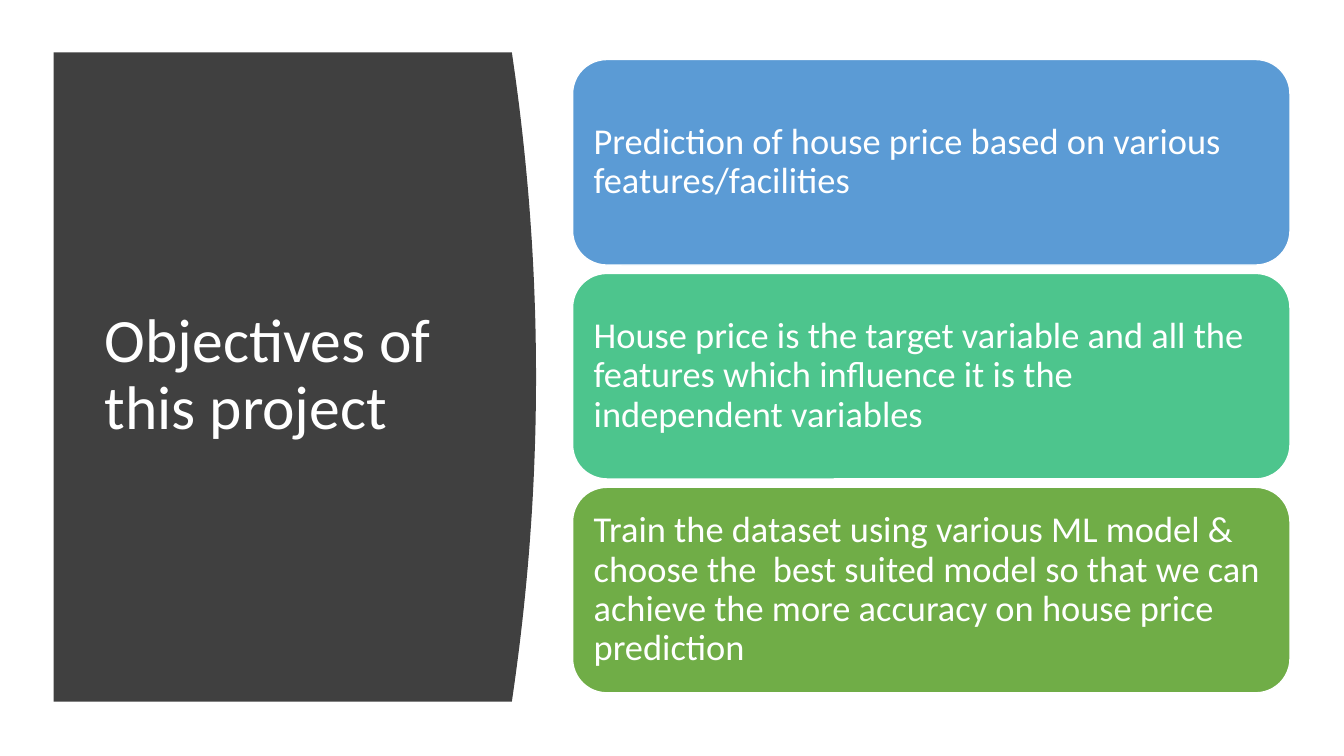
"""Build the slide that states the objectives of the house price project."""
from dataclasses import dataclass

from pptx import Presentation
from pptx.dml.color import RGBColor
from pptx.enum import shapes, text
from pptx.util import Cm, Pt

WHITE = RGBColor(0xFF, 0xFF, 0xFF)
CHARCOAL = RGBColor(0x40, 0x40, 0x40)
BLUE = RGBColor(0x5B, 0x9B, 0xD5)
TEAL = RGBColor(0x4D, 0xC5, 0x8D)
GREEN = RGBColor(0x70, 0xAD, 0x47)

PANEL_LEFT, PANEL_TOP, PANEL_EDGE, PANEL_HEIGHT = 1.35, 1.32, 12.9, 16.36
PANEL_BULGE, CURVE_STEPS = 0.61, 48
CARD_LEFT, CARD_TOP, CARD_WIDTH, CARD_HEIGHT, CARD_PITCH = 14.43, 1.5, 18.08, 5.18, 5.39


@dataclass(frozen=True)
class Objective:
    """One objective and the colour of its card."""
    wording: str
    colour: RGBColor


OBJECTIVES = [
    Objective("Prediction of house price based on various features/facilities", BLUE),
    Objective("House price is the target variable and all the features which influence it "
              "is the independent variables", TEAL),
    Objective("Train the dataset using various ML model & choose the  best suited model so "
              "that we can achieve the more accuracy on house price prediction", GREEN),
]


def write(holder, wording: str, size: float, inset: float) -> None:
    """Write left-aligned white text, centred vertically in its holder."""
    frame = holder.text_frame
    paragraph = frame.paragraphs[0]
    paragraph.text = wording
    paragraph.font.color.rgb = WHITE
    margins = {f"margin_{side}": Cm(inset) for side in ("left", "top", "right", "bottom")}
    formats = [
        (frame, {"word_wrap": True, "vertical_anchor": text.MSO_ANCHOR.MIDDLE, **margins}),
        (paragraph, {"alignment": text.PP_ALIGN.LEFT, "line_spacing": 0.9}),
        (paragraph.font, {"name": "Calibri", "size": Pt(size)}),
    ]
    for target, values in formats:
        for attribute, value in values.items():
            setattr(target, attribute, value)


def draw_panel(slide) -> None:
    """Draw the dark panel whose right edge bulges as a parabola."""
    edge = []
    for step in range(CURVE_STEPS + 1):
        share = step / CURVE_STEPS
        bulge = PANEL_BULGE * (1 - (2 * share - 1) ** 2)
        edge.append((Cm(PANEL_EDGE + bulge), Cm(PANEL_TOP + PANEL_HEIGHT * share)))
    outline = slide.shapes.build_freeform(Cm(PANEL_LEFT), Cm(PANEL_TOP))
    outline.add_line_segments(edge + [(Cm(PANEL_LEFT), Cm(PANEL_TOP + PANEL_HEIGHT))])
    panel = outline.convert_to_shape()
    panel.shadow.inherit = False
    panel.fill.solid()
    panel.fill.fore_color.rgb = CHARCOAL
    panel.line.fill.background()


def draw_card(slide, objective: Objective, row: int) -> None:
    """Draw one objective as a rounded card in its row."""
    card = slide.shapes.add_shape(
        shapes.MSO_SHAPE.ROUNDED_RECTANGLE, Cm(CARD_LEFT), Cm(CARD_TOP + row * CARD_PITCH),
        Cm(CARD_WIDTH), Cm(CARD_HEIGHT))
    card.shadow.inherit = False
    card.fill.solid()
    card.fill.fore_color.rgb = objective.colour
    card.line.color.rgb = WHITE
    card.line.width = Pt(1)
    write(card, objective.wording, 26, 0.28)


def main() -> None:
    """Assemble and save the slide."""
    deck = Presentation()
    deck.slide_width, deck.slide_height = Cm(33.87), Cm(19.05)
    slide = deck.slides.add_slide(deck.slide_layouts[6])
    draw_panel(slide)
    heading = slide.shapes.add_textbox(Cm(2.39), Cm(2.82), Cm(9.5), Cm(13.31))
    write(heading, "Objectives of this project", 44, 0.25)
    for row, objective in enumerate(OBJECTIVES):
        draw_card(slide, objective, row)
    deck.save("out.pptx")


if __name__ == "__main__":
    main()
